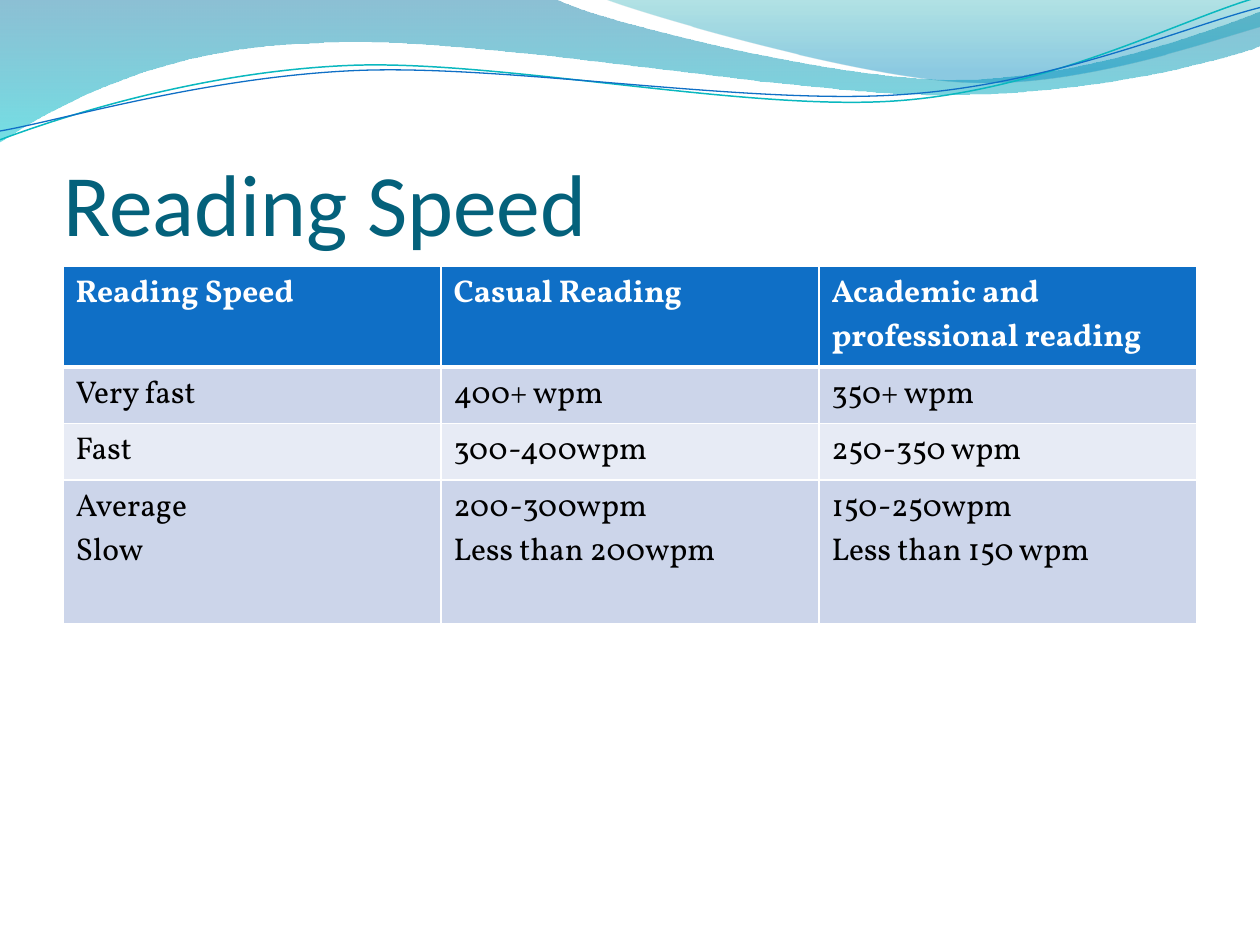
import dataclasses
import pptx
import pptx.dml.color
import pptx.enum.text
import pptx.oxml
import pptx.oxml.ns
import pptx.util
from pptx.util import Cm, Pt


@dataclasses.dataclass(frozen=True)
class Theme:
    title: str = "04617B"
    head: str = "0F6FC6"
    teal: str = "0AB8BF"
    bands: tuple = ("CCD5EA", "E7EBF5")
    white: str = "FFFFFF"
    black: str = "000000"
    title_font: str = "Calibri"
    body_font: str = "Vollkorn"
    title_size: int = 50
    body_size: int = 18


THEME = Theme()
NS = pptx.oxml.ns.nsdecls("a")

# Outlines in inches: a pair is a straight end, six numbers are a cubic curve.
BAND = [(0, 0), (4.4, -0.01), (4.76, 0.17, 6.64, 0.63, 7.58, 0.63),
        (8.53, 0.63, 9.58, 0.26, 10, 0.09), (10.01, 0.36),
        (9.83, 0.44, 8.7, 0.76, 7.46, 0.75),
        (6.22, 0.75, 3.82, 0.28, 2.57, 0.34),
        (1.29, 0.36, 0.46, 0.83, -0.01, 1.13), (0, 0)]
CREST = [(4.79, -0.01), (5.09, 0.11, 6.82, 0.62, 7.69, 0.65),
         (8.56, 0.69, 9.61, 0.32, 10, 0.21), (10, 0), (4.79, -0.01)]
UPPER = [(0, 1.11), (0.48, 0.93, 1.58, 0.57, 2.77, 0.52),
         (3.95, 0.47, 5.93, 0.89, 7.13, 0.8),
         (8.33, 0.71, 9.38, 0.15, 9.98, -0.02)]
LOWER = [(0, 1.04), (0.47, 0.96, 1.64, 0.61, 2.83, 0.56),
         (4.03, 0.51, 5.97, 0.84, 7.17, 0.75),
         (8.36, 0.67, 9.41, 0.21, 10, 0.06)]

ROWS = [
    ("Reading Speed", "Casual Reading", "Academic and professional reading"),
    ("Very fast", "400+ wpm", "350+ wpm"),
    ("Fast", "300-400wpm", "250-350 wpm"),
    ("Average\nSlow", "200-300wpm\nLess than 200wpm",
     "150-250wpm\nLess than 150 wpm"),
]
HEIGHTS = (2.01, 1.14, 1.14, 2.9)


def rgb(code):
    return pptx.dml.color.RGBColor.from_string(code)


def style(para, font, size, color, bold=False):
    para.font.name = font
    para.font.size = Pt(size)
    para.font.color.rgb = rgb(color)
    para.font.bold = bold


def add_path(slide, path, close):
    """Lay out all points as lines, then merge each curve's three into one."""
    points = [(Cm(2.54 * x), Cm(2.54 * y)) for part in path
              for x, y in zip(part[::2], part[1::2])]
    pen = slide.shapes.build_freeform(*points[0])
    pen.add_line_segments(points[1:], close=close)
    shape = pen.convert_to_shape()
    shape.shadow.inherit = False
    lines = iter(shape._element.spPr.findall(".//" + pptx.oxml.ns.qn("a:lnTo")))
    for part in path[1:]:
        line = next(lines)
        if len(part) == 6:
            curve = pptx.oxml.parse_xml(f"<a:cubicBezTo {NS}/>")
            line.addprevious(curve)
            for piece in (line, next(lines), next(lines)):
                curve.append(piece[0])
                piece.getparent().remove(piece)
    return shape


def add_wave(slide, path, stops):
    """Add a closed shape; stops hold position, colour and opacity in percent."""
    shape = add_path(slide, path, True)
    shape.line.fill.background()
    shape.fill.gradient()
    shape.fill.gradient_angle = 270
    nodes = shape._element.spPr.findall(".//" + pptx.oxml.ns.qn("a:gs"))
    for stop, node, (pos, color, alpha) in zip(
            shape.fill.gradient_stops, nodes, stops):
        stop.color.rgb = rgb(color)
        node.set("pos", str(pos * 1000))
        node[0].append(pptx.oxml.parse_xml(
            f'<a:alpha {NS} val="{alpha * 1000}"/>'))


def add_curve(slide, path, color, width):
    shape = add_path(slide, path, False)
    shape.fill.background()
    shape.line.color.rgb = rgb(color)
    shape.line.width = Pt(width)


def set_title(slide, text):
    title = slide.shapes.title
    title.left, title.top = Cm(1.27), Cm(1.96)
    title.width, title.height = Cm(22.86), Cm(3.17)
    frame = title.text_frame
    frame.text = text
    frame.auto_size = pptx.enum.text.MSO_AUTO_SIZE.NONE
    frame.vertical_anchor = pptx.enum.text.MSO_ANCHOR.BOTTOM
    frame.margin_left = frame.margin_right = frame.margin_bottom = 0
    para = frame.paragraphs[0]
    para.alignment = pptx.enum.text.PP_ALIGN.LEFT
    style(para, THEME.title_font, THEME.title_size, THEME.title)
    title._element.getparent().append(title._element)


def set_edges(cell, widths):
    """Draw white borders; widths maps a side (L, R, T, B) to points."""
    props = cell._tc.get_or_add_tcPr()
    for spot, (side, width) in enumerate(widths.items()):
        props.insert(spot, pptx.oxml.parse_xml(
            f'<a:ln{side} {NS} w="{Pt(width)}">'
            f'<a:solidFill><a:srgbClr val="{THEME.white}"/></a:solidFill>'
            f'</a:ln{side}>'))


def add_grid(slide):
    table = slide.shapes.add_table(
        len(ROWS), len(ROWS[0]), Cm(1.27), Cm(5.37),
        Cm(22.86), Cm(sum(HEIGHTS))).table
    for r, (texts, height) in enumerate(zip(ROWS, HEIGHTS)):
        table.rows[r].height = Cm(height)
        head = r == 0
        fill = THEME.head if head else THEME.bands[(r - 1) % 2]
        color = THEME.white if head else THEME.black
        edges = {"L": 1, "R": 1, "T": 3 if r == 1 else 1, "B": 3 if head else 1}
        for c, text in enumerate(texts):
            cell = table.cell(r, c)
            cell.text = text
            cell.fill.solid()
            cell.fill.fore_color.rgb = rgb(fill)
            set_edges(cell, edges)
            for para in cell.text_frame.paragraphs:
                style(para, THEME.body_font, THEME.body_size, color, head)


def main():
    deck = pptx.Presentation()
    deck.slide_width, deck.slide_height = Cm(25.4), Cm(19.05)
    slide = deck.slides.add_slide(deck.slide_layouts[5])
    add_wave(slide, BAND, [(0, "0074A1", 45), (100, "00C6CF", 55)])
    add_wave(slide, CREST, [(0, "00A1A9", 30), (80, "008BBF", 45)])
    add_curve(slide, UPPER, THEME.teal, 0.85)
    add_curve(slide, LOWER, THEME.head, 0.75)
    set_title(slide, "Reading Speed")
    add_grid(slide)
    deck.save("out.pptx")


if __name__ == "__main__":
    main()
